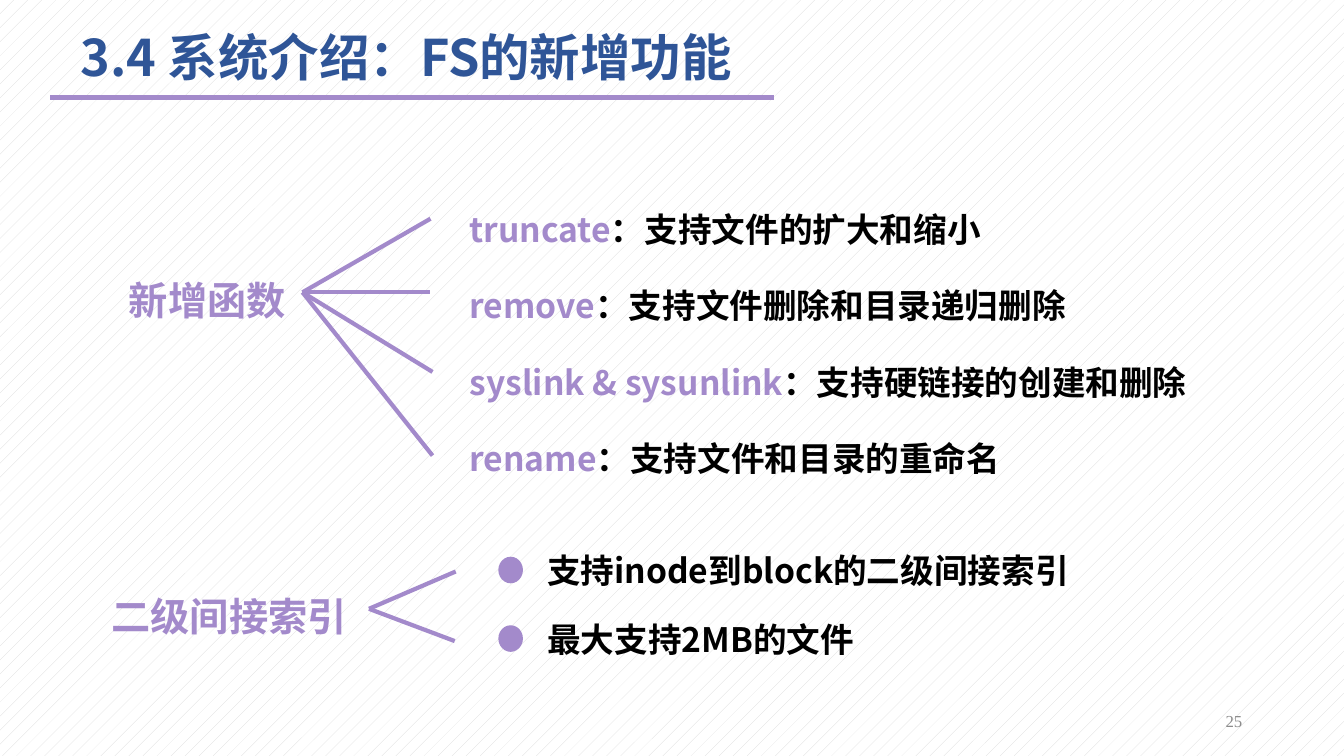
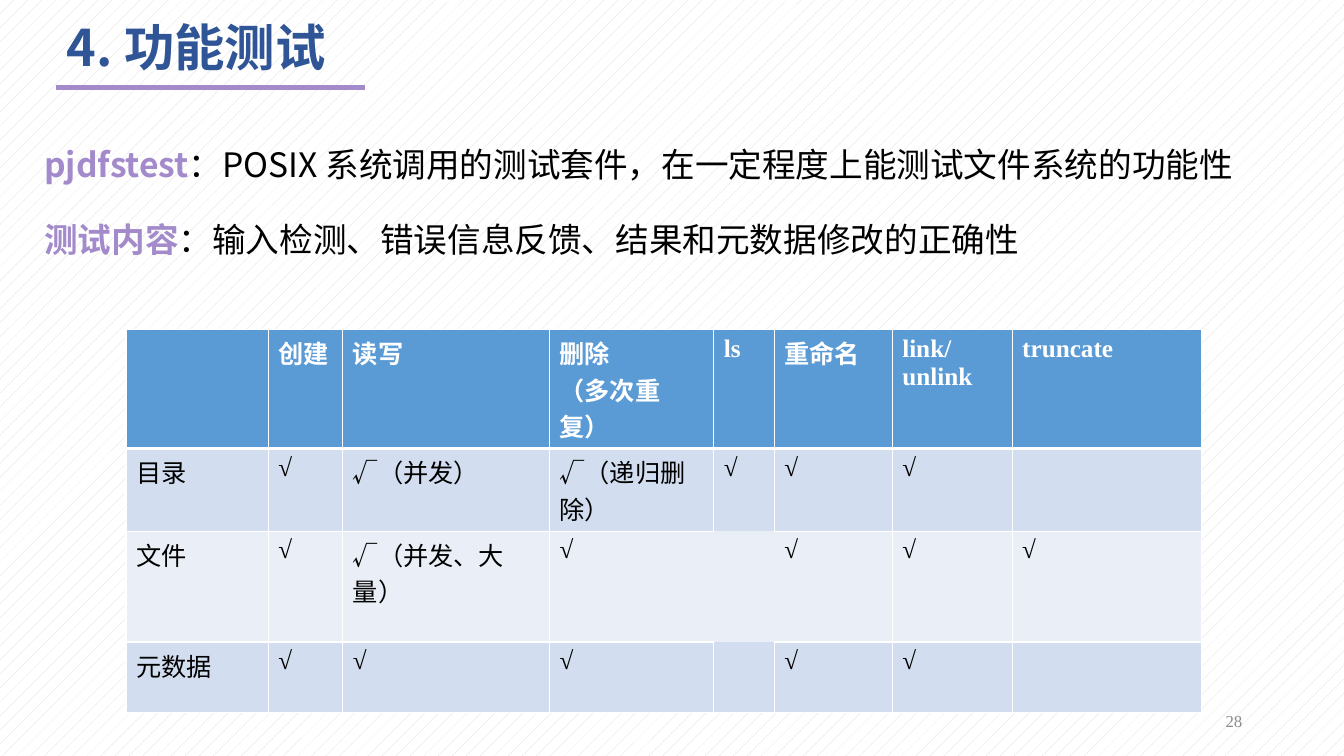
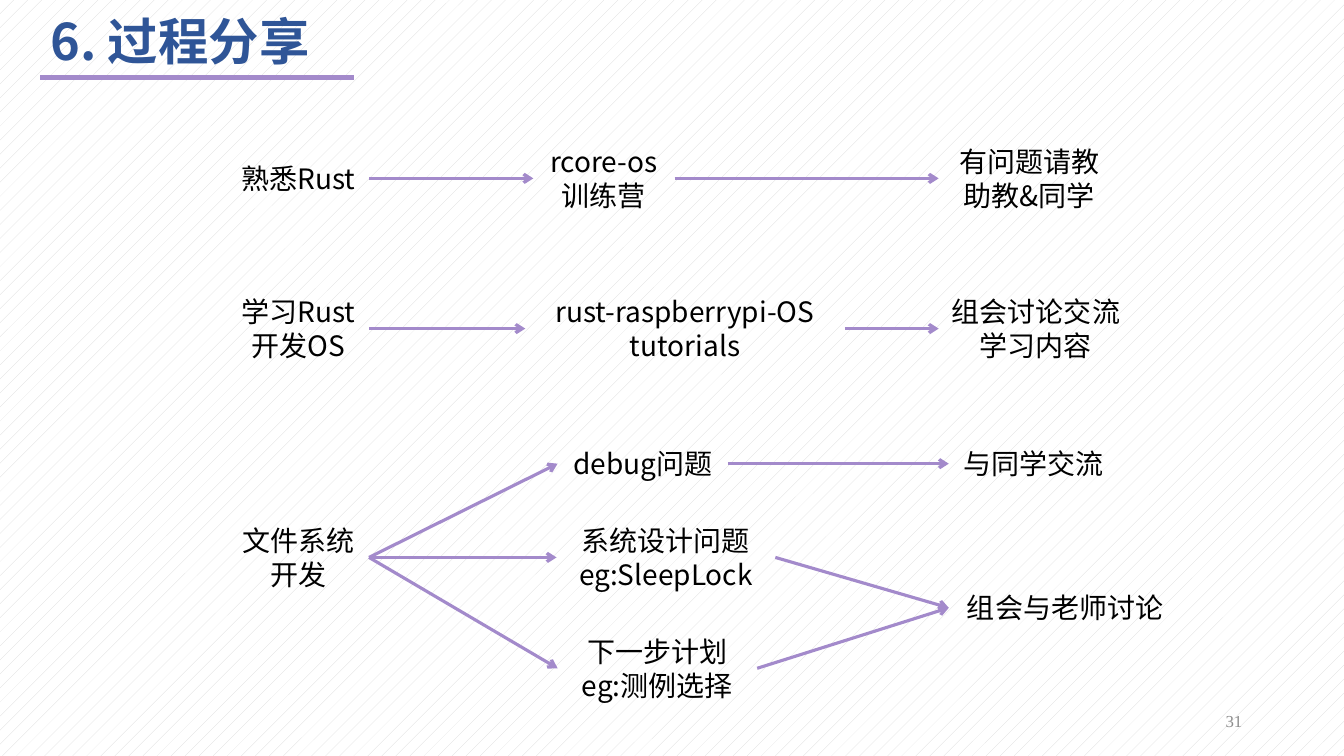
from dataclasses import dataclass
from lxml.etree import SubElement as Sub
from pptx import Presentation
from pptx.dml.color import RGBColor as RGB
from pptx.enum.dml import MSO_PATTERN as Pattern
from pptx.enum.shapes import MSO_CONNECTOR as Wire, MSO_SHAPE as Shape
from pptx.enum.text import MSO_ANCHOR as Anchor, MSO_AUTO_SIZE as Fit, PP_ALIGN as Align
from pptx.oxml.ns import qn
from pptx.util import Inches, Pt


@dataclass(frozen=True)
class Theme:
    sans: str = "Noto Sans CJK SC"
    serif: str = "Times New Roman"
    blue: str = "2F5597"
    lilac: str = "A38ACB"
    black: str = "000000"
    white: str = "FFFFFF"
    gray: str = "8C8C8C"
    dots: str = "D9D9D9"
    head: str = "5B9BD5"
    bands: tuple = ("D2DEEF", "EAEFF7")
    title: int = 36
    label: int = 28
    body: int = 24
    node: int = 20
    cell: int = 18
    foot: int = 12


class Deck:
    """Holds the style and the current slide, and draws each kind of element."""

    def __init__(self, theme):
        self.theme = theme
        self.show = Presentation()
        self.show.slide_width, self.show.slide_height = Inches(13.33), Inches(7.5)
        fill = self.show.slide_master.background.fill
        fill.patterned()
        fill.pattern = Pattern.PERCENT_5
        fill.fore_color.rgb = RGB.from_string(theme.dots)
        fill.back_color.rgb = RGB.from_string(theme.white)

    def style(self, run, size, color, bold=False, face=None):
        font = run.font
        font.size, font.bold = Pt(size), bold
        font.color.rgb = RGB.from_string(color)
        font.name = face or self.theme.sans
        Sub(run._r.get_or_add_rPr(), qn("a:ea"), typeface=self.theme.sans)

    def paint(self, frame, size, color, bold=False, face=None, align=Align.LEFT, space=None):
        for para in frame.paragraphs:
            para.alignment = align
            para.line_spacing = space
            for run in para.runs:
                self.style(run, size, color, bold, face)

    def page(self, title, left, top, rule, number):
        look = self.theme
        self.slide = self.show.slides.add_slide(self.show.slide_layouts[5])
        head = self.slide.shapes.title
        head.left, head.top = Inches(left), Inches(top)
        head.width, head.height = Inches(11.5), Inches(0.75)
        frame = head.text_frame
        frame.text = title
        frame.auto_size, frame.vertical_anchor = Fit.NONE, Anchor.MIDDLE
        self.paint(frame, look.title, look.blue, True, space=0.9)
        start, end, y = rule
        self.line((start, y), (end, y), 3.5)
        foot = self.box(str(number), 9.42, 6.95, 3, 0.4, look.foot, look.gray,
                        face=look.serif, align=Align.RIGHT)
        foot.text_frame.vertical_anchor = Anchor.MIDDLE

    def frame(self, left, top, width, height):
        box = self.slide.shapes.add_textbox(*map(Inches, (left, top, width, height)))
        box.text_frame.word_wrap = True
        return box

    def box(self, text, left, top, width, height, size, color, bold=False, **more):
        box = self.frame(left, top, width, height)
        box.text_frame.text = text
        self.paint(box.text_frame, size, color, bold, **more)
        return box

    def terms(self, pairs, left, top, width, height, space, gap=0, bold=False):
        look = self.theme
        frame = self.frame(left, top, width, height).text_frame
        for i, (term, rest) in enumerate(pairs):
            para = frame.add_paragraph() if i else frame.paragraphs[0]
            para.line_spacing = space
            if i:
                para.space_before = Pt(gap)
            for text, color, heavy in ((term, look.lilac, True), (rest, look.black, bold)):
                run = para.add_run()
                run.text = text
                self.style(run, look.body, color, heavy)

    def node(self, text, left, mid, width, rows=2):
        height = 0.44 if rows == 1 else 0.77
        box = self.box(text, left, mid - height / 2, width, height,
                       self.theme.node, self.theme.black, align=Align.CENTER)
        box.text_frame.auto_size = Fit.SHAPE_TO_FIT_TEXT
        return box, (left, mid), (left + width, mid)

    def link(self, first, last):
        self.line(first[2], last[1], 2.25, True)

    def line(self, start, end, width=3, arrow=False):
        wire = self.slide.shapes.add_connector(Wire.STRAIGHT, *map(Inches, (*start, *end)))
        wire.line.color.rgb = RGB.from_string(self.theme.lilac)
        wire.line.width = Pt(width)
        if arrow:
            Sub(wire.line._get_or_add_ln(), qn("a:tailEnd"), type="arrow")
        Sub(wire._element.spPr, qn("a:effectLst"))

    def dot(self, left, top):
        dot = self.slide.shapes.add_shape(Shape.OVAL, *map(Inches, (left, top, 0.23, 0.25)))
        dot.shadow.inherit = False
        dot.fill.solid()
        for color in (dot.fill.fore_color, dot.line.color):
            color.rgb = RGB.from_string(self.theme.lilac)
        dot.line.width = Pt(1)

    def edge(self, cell, side, width):
        line = Sub(cell._tc.get_or_add_tcPr(), qn("a:ln" + side), w=str(Pt(width)))
        if width:
            Sub(Sub(line, qn("a:solidFill")), qn("a:srgbClr"), val=self.theme.white)
        else:
            Sub(line, qn("a:noFill"))

    def table(self, rows, left, top, widths, heights, bare):
        look = self.theme
        size = map(Inches, (left, top, sum(widths), sum(heights)))
        grid = self.slide.shapes.add_table(len(rows), len(widths), *size).table
        for col, width in zip(grid.columns, widths):
            col.width = Inches(width)
        for r, texts in enumerate(rows):
            grid.rows[r].height = Inches(heights[r])
            for c, text in enumerate(texts):
                cell = grid.cell(r, c)
                for side in "LRTB":
                    thick = 3 if (r, side) in ((0, "B"), (1, "T")) else 1
                    self.edge(cell, side, 0 if side in bare.get((r, c), "") else thick)
                cell.fill.solid()
                shade = look.bands[(r - 1) % 2] if r else look.head
                cell.fill.fore_color.rgb = RGB.from_string(shade)
                cell.text_frame.text = text
                ink = look.black if r else look.white
                self.paint(cell.text_frame, look.cell, ink, r == 0, look.serif)


def features(deck):
    look = deck.theme
    deck.page("3.4 系统介绍：FS的新增功能", 0.7, 0.22, (0.5, 7.68, 0.97), 25)
    deck.box("二级间接索引", 1.01, 5.59, 2.73, 0.93, look.label, look.lilac, True, space=1.5)
    deck.box("新增函数", 1.18, 2.69, 1.95, 0.57, look.label, look.lilac, True)
    deck.terms([("truncate", "：支持文件的扩大和缩小"),
                ("remove", "：支持文件删除和目录递归删除"),
                ("syslink & sysunlink", "：支持硬链接的创建和删除"),
                ("rename", "：支持文件和目录的重命名")],
               4.56, 1.66, 7.69, 3.06, 1.9, bold=True)
    fans = {(3, 2.9): [(4.27, 2.17), (4.27, 2.9), (4.29, 3.69), (4.29, 4.52)],
            (3.66, 6.04): [(4.52, 5.67), (4.51, 6.36)]}
    for hub, ends in fans.items():
        for end in ends:
            deck.line(hub, end)
    for i, text in enumerate(("支持inode到block的二级间接索引", "最大支持2MB的文件")):
        top = 5.41 + i * 0.68
        deck.box(text, 5.33, top, 6.67, 0.5, look.body, look.black, True)
        deck.dot(4.95, top + 0.12)


def tests(deck):
    deck.page("4. 功能测试", 0.56, 0.12, (0.56, 3.62, 0.87), 28)
    deck.terms([("pjdfstest", "：POSIX 系统调用的测试套件，在一定程度上能测试文件系统的功能性"),
                ("测试内容", "：输入检测、错误信息反馈、结果和元数据修改的正确性")],
               0.34, 1.18, 12.86, 1.6, 1.5, gap=10)
    rows = [("", "创建", "读写", "删除\n（多次重复）", "ls", "重命名", "link/\nunlink", "truncate"),
            ("目录", "√", "√（并发）", "√（递归删除）", "√", "√", "√", ""),
            ("文件", "√", "√（并发、大量）", "√", "", "√", "√", "√"),
            ("元数据", "√", "√", "√", "", "√", "√", "")]
    bare = {(2, 4): "LRTB", (2, 3): "R", (2, 5): "L", (1, 4): "B", (3, 4): "T"}
    deck.table(rows, 1.25, 3.27, (1.41, 0.74, 2.05, 1.63, 0.6, 1.17, 1.19, 1.88),
               (1.18, 0.82, 1.1, 0.7), bare)


def process(deck):
    deck.page("6. 过程分享", 0.4, 0.06, (0.4, 3.51, 0.77), 31)
    chains = [[("熟悉Rust", 2.26, 1.77, 1.4, 1),
               ("rcore-os训练营", 5.29, 1.77, 1.4),
               ("有问题请教助教&同学", 9.31, 1.77, 1.8)],
              [("学习Rust开发OS", 2.26, 3.26, 1.4),
               ("rust-raspberrypi-OS\ntutorials", 5.21, 3.26, 3.17),
               ("组会讨论交流学习内容", 9.31, 3.26, 1.93)]]
    for chain in chains:
        nodes = [deck.node(*item) for item in chain]
        for first, last in zip(nodes, nodes[1:]):
            deck.link(first, last)
    build = deck.node("文件系统开发", 2.26, 5.53, 1.4)
    debug = deck.node("debug问题", 5.53, 4.6, 1.69, 1)
    design = deck.node("系统设计问题\neg:SleepLock", 5.52, 5.53, 2.17)
    plan = deck.node("下一步计划\neg:测例选择", 5.53, 6.63, 1.98)
    peers = deck.node("与同学交流", 9.41, 4.6, 1.69, 1)
    staff = deck.node("组会与老师讨论", 9.41, 6.03, 2.31, 1)
    for step, talk in ((debug, peers), (design, staff), (plan, staff)):
        deck.link(build, step)
        deck.link(step, talk)


def main():
    deck = Deck(Theme())
    for draw in (features, tests, process):
        draw(deck)
    deck.show.save("out.pptx")


if __name__ == "__main__":
    main()
